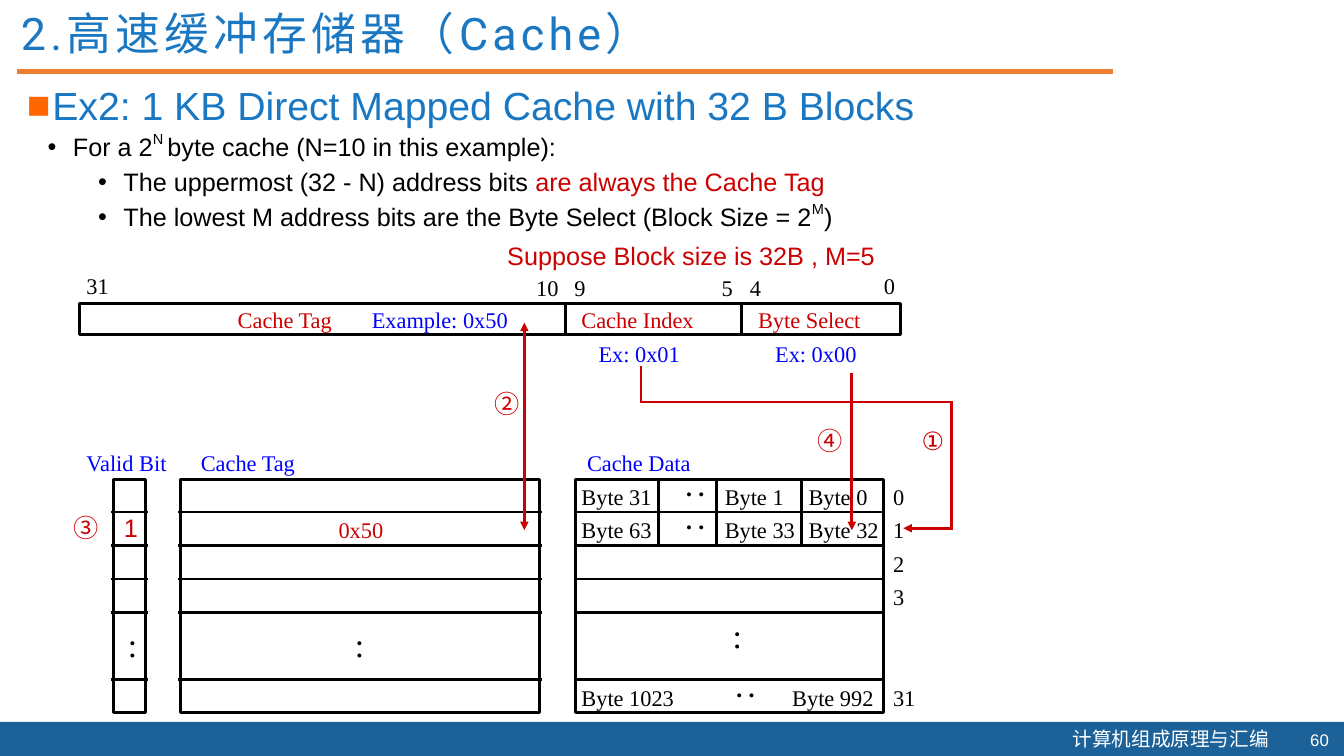
"""Build the slide on a 1 KB direct mapped cache with 32 B blocks."""
from itertools import pairwise

from lxml import etree
from pptx import Presentation
from pptx.dml.color import RGBColor
from pptx.enum.shapes import MSO_CONNECTOR, MSO_SHAPE
from pptx.enum.text import MSO_ANCHOR, MSO_AUTO_SIZE, PP_ALIGN
from pptx.oxml.ns import qn
from pptx.util import Cm, Pt

STRAIGHT, RECTANGLE = MSO_CONNECTOR.STRAIGHT, MSO_SHAPE.RECTANGLE
GROW, FIXED = MSO_AUTO_SIZE.SHAPE_TO_FIT_TEXT, MSO_AUTO_SIZE.NONE
TOP, MIDDLE = MSO_ANCHOR.TOP, MSO_ANCHOR.MIDDLE
LEFT, RIGHT = PP_ALIGN.LEFT, PP_ALIGN.RIGHT

BLACK, WHITE, RED, BLUE = "000000", "FFFFFF", "CC0000", "0000FF"
HEADING, BAND, RULE, SQUARE = "1A78C3", "1C6299", "ED7D31", "FF6600"
SANS, SERIF, TITLE, CHINESE = "Arial", "Times New Roman", "Roboto", "Noto Sans CJK SC"
EAST_ASIAN = {TITLE: CHINESE}
INSET, TIGHT = (0.25, 0.13), (0, 0)

HEADLINE = "2.高速缓冲存储器（Cache）"
EXAMPLE = "Ex2: 1 KB Direct Mapped Cache with 32 B Blocks"
COURSE, PAGE_NUMBER = "计算机组成原理与汇编", "60"
POINTS = [
    (0, [("For a 2", BLACK, 0), ("N ", BLACK, 48),
         ("byte cache (N=10 in this example):", BLACK, 0)]),
    (1, [("The uppermost (32 - N) address bits ", BLACK, 0),
         ("are always the Cache Tag", RED, 0)]),
    (1, [("The lowest M address bits are the Byte Select (Block Size = 2", BLACK, 0),
         ("M", BLACK, 48), (")", BLACK, 0)]),
]

ADDRESS = (2.01, 7.65, 20.68, 0.79)
ADDRESS_DIVIDERS = [14.25, 18.69]
TABLE_TOP, TABLE_HEIGHT = 12.09, 5.87
FIRST_LINE, ROW_STEP, LINE_ROWS = 12.9, 0.845, [0, 1, 2, 3, 5]
TABLES = [(2.87, 0.79, 0.07), (4.55, 9.04, 0.06), (14.5, 7.77, 0)]
DATA_DIVIDERS = [16.59, 18.06, 20.19]

LABELS = [
    (1.93, 6.73, 1.09, "31", BLACK), (13.26, 6.78, 1.09, "10", BLACK),
    (14.22, 6.78, 0.81, "9", BLACK), (17.93, 6.78, 0.81, "5", BLACK),
    (18.64, 6.78, 0.81, "4", BLACK), (22.02, 6.73, 0.81, "0", BLACK),
    (5.74, 7.59, 3.1, "Cache Tag", RED), (9.12, 7.59, 4.09, "Example: 0x50", BLUE),
    (14.4, 7.59, 3.53, "Cache Index", RED), (18.85, 7.59, 3.15, "Byte Select", RED),
    (14.83, 8.43, 2.62, "Ex: 0x01", BLUE), (19.28, 8.43, 2.62, "Ex: 0x00", BLUE),
    (1.93, 11.18, 2.69, "Valid Bit", BLUE), (4.81, 11.18, 3.09, "Cache Tag", BLUE),
    (14.54, 11.18, 3.31, "Cache Data", BLUE), (8.28, 12.88, 1.63, "0x50", RED),
]
ROW_LABEL_TOP = 12.04
ROW_LABELS = [
    (0, [(14.4, 2.34, "Byte 31"), (18.01, 2.06, "Byte 1"), (20.12, 2.06, "Byte 0"),
         (22.25, 0.81, "0")]),
    (1, [(14.4, 2.34, "Byte 63"), (18.01, 2.34, "Byte 33"), (20.12, 2.34, "Byte 32"),
         (22.25, 0.81, "1")]),
    (2, [(22.25, 0.81, "2")]),
    (3, [(22.25, 0.81, "3")]),
    (6, [(14.4, 2.9, "Byte 1023"), (19.71, 2.62, "Byte 992"), (22.25, 1.09, "31")]),
]
COLONS = [(2.97, 15.6), (8.69, 15.6), (18.21, 15.37)]
SIDE_COLON_TOP = 11.79
SIDE_COLONS = [(0, 16.97), (1, 16.97), (6, 18.24)]
STEPS = [
    (12.45, 9.78, 0.64, "②", CHINESE), (23.22, 10.72, 0.64, "①", SANS),
    (20.6, 10.72, 0.64, "④", CHINESE), (1.85, 12.9, 0.99, "③", CHINESE),
    (3.12, 12.9, 0.36, "1", SANS),
]
INDEX_ROUTE = [(16.15, 9.25), (16.15, 10.13), (23.98, 10.13), (23.98, 13.31), (22.76, 13.31)]


def color(value):
    return RGBColor.from_string(value)


def add_box(left, top, width, height, inset=INSET, wrap=False, grow=True, anchor=TOP):
    box = page.shapes.add_textbox(Cm(left), Cm(top), Cm(width), Cm(height))
    frame = box.text_frame
    frame.word_wrap = wrap
    frame.auto_size = GROW if grow else FIXED
    frame.vertical_anchor = anchor
    frame.margin_left = frame.margin_right = Cm(inset[0])
    frame.margin_top = frame.margin_bottom = Cm(inset[1])
    return box


def style(para, size, font, fill, align=LEFT):
    para.alignment = align
    para.font.size, para.font.name = Pt(size), font
    para.font.color.rgb = color(fill)
    defaults = para._p.pPr.find(qn("a:defRPr"))
    etree.SubElement(defaults, qn("a:ea")).set("typeface", EAST_ASIAN.get(font, font))
    return defaults


def write(box, text, size, font, fill, align=LEFT):
    para = box.text_frame.paragraphs[0]
    para.add_run().text = text
    return para, style(para, size, font, fill, align)


def add_bullet(para, defaults, mark, fill, margin):
    para._p.pPr.set("marL", str(Cm(margin)))
    para._p.pPr.set("indent", str(-Cm(0.64)))
    tint = etree.Element(qn("a:buClr"))
    etree.SubElement(tint, qn("a:srgbClr")).set("val", fill)
    face = etree.Element(qn("a:buFont"))
    face.set("typeface", SANS)
    sign = etree.Element(qn("a:buChar"))
    sign.set("char", mark)
    for element in (tint, face, sign):
        defaults.addprevious(element)


def add_rectangle(left, top, width, height, fill=None):
    shape = page.shapes.add_shape(RECTANGLE, Cm(left), Cm(top), Cm(width), Cm(height))
    shape.shadow.inherit = False
    if fill:
        shape.fill.solid()
        shape.fill.fore_color.rgb = color(fill)
        shape.line.fill.background()
    else:
        shape.fill.background()
        shape.line.color.rgb = color(BLACK)
        shape.line.width = Pt(2)


def add_line(start, end, fill=BLACK, width=2, heads=(), cap="flat"):
    points = [Cm(value) for value in (*start, *end)]
    line = page.shapes.add_connector(STRAIGHT, *points)
    line.line.color.rgb = color(fill)
    line.line.width = Pt(width)
    properties = line._element.spPr
    etree.SubElement(properties, qn("a:effectLst"))
    outline = properties.find(qn("a:ln"))
    outline.set("cap", cap)
    for head in heads:
        etree.SubElement(outline, qn(f"a:{head}")).set("type", "triangle")


def add_heading():
    add_rectangle(0, 18.19, 33.86, 0.86, BAND)
    write(add_box(26.77, 18.19, 5.54, 0.86), COURSE, 14, CHINESE, WHITE)
    number = add_box(32.46, 18.26, 1.27, 0.76, wrap=True, grow=False, anchor=MIDDLE)
    write(number, PAGE_NUMBER, 12, SANS, WHITE, RIGHT)
    add_line((0.43, 1.8), (28.04, 1.8), RULE, 3)
    example = add_box(0.43, 1.93, 32.87, 1.73, wrap=True, grow=False)
    para, defaults = write(example, EXAMPLE, 28, SANS, HEADING)
    add_bullet(para, defaults, "■", SQUARE, 0.64)
    title = add_box(0.28, 0.18, 27.05, 1.22, wrap=True, grow=False)
    para, defaults = write(title, HEADLINE, 32, TITLE, HEADING)
    para.line_spacing = 0.9
    defaults.set("spc", "300")


def add_points():
    frame = add_box(1.02, 3.3, 22.76, 2.74, (0.18, 0.08), wrap=True).text_frame
    for index, (level, spans) in enumerate(POINTS):
        para = frame.add_paragraph() if index else frame.paragraphs[0]
        para.level, para.line_spacing = level, 0.9
        para.space_before = Pt(5 * level)
        add_bullet(para, style(para, 18, SANS, BLACK), "•", BLACK, 0.64 + 1.27 * level)
        for text, fill, raised in spans:
            span = para.add_run()
            span.text = text
            if fill != BLACK:
                span.font.color.rgb = color(fill)
            if raised:
                span._r.get_or_add_rPr().set("baseline", str(raised * 1000))


def add_frames():
    left, top, width, height = ADDRESS
    add_rectangle(*ADDRESS)
    for x in ADDRESS_DIVIDERS:
        add_line((x, top), (x, top + height))
    for left, width, overhang in TABLES:
        add_rectangle(left, TABLE_TOP, width, TABLE_HEIGHT)
        for row in LINE_ROWS:
            y = FIRST_LINE + row * ROW_STEP
            add_line((left - overhang, y), (left + width + overhang, y))
    for x in DATA_DIVIDERS:
        add_line((x, TABLE_TOP), (x, FIRST_LINE + ROW_STEP))


def add_labels():
    cells = [(x, ROW_LABEL_TOP + row * ROW_STEP, width, text, BLACK)
             for row, labels in ROW_LABELS for x, width, text in labels]
    for x, y, width, text, fill in LABELS + cells:
        write(add_box(x, y, width, 0.94), text, 16, SERIF, fill)
    colons = [(x, y, 0) for x, y in COLONS]
    colons += [(x, SIDE_COLON_TOP + row * ROW_STEP, 270) for row, x in SIDE_COLONS]
    for x, y, turn in colons:
        box = add_box(x, y, 0.8, 1.28)
        box.rotation = turn
        write(box, ":", 24, SERIF, BLACK)


def add_steps():
    note = add_box(12.78, 6.05, 10.46, 0.76, TIGHT, wrap=True)
    write(note, "Suppose Block size is 32B , M=5", 18, SANS, RED)
    add_line((13.21, 8.13), (13.21, 13.36), RED, heads=("headEnd", "tailEnd"))
    add_line((21.46, 9.4), (21.46, 13.36), RED, heads=("tailEnd",))
    for start, end in pairwise(INDEX_ROUTE):
        last = end == INDEX_ROUTE[-1]
        add_line(start, end, RED, heads=("tailEnd",) if last else (), cap="flat" if last else "sq")
    for x, y, width, text, font in STEPS:
        write(add_box(x, y, width, 0.76, TIGHT), text, 18, font, RED)


deck = Presentation()
deck.slide_width, deck.slide_height = Cm(33.86), Cm(19.05)
page = deck.slides.add_slide(deck.slide_layouts[6])
add_heading()
add_points()
add_frames()
add_labels()
add_steps()
deck.save("out.pptx")
